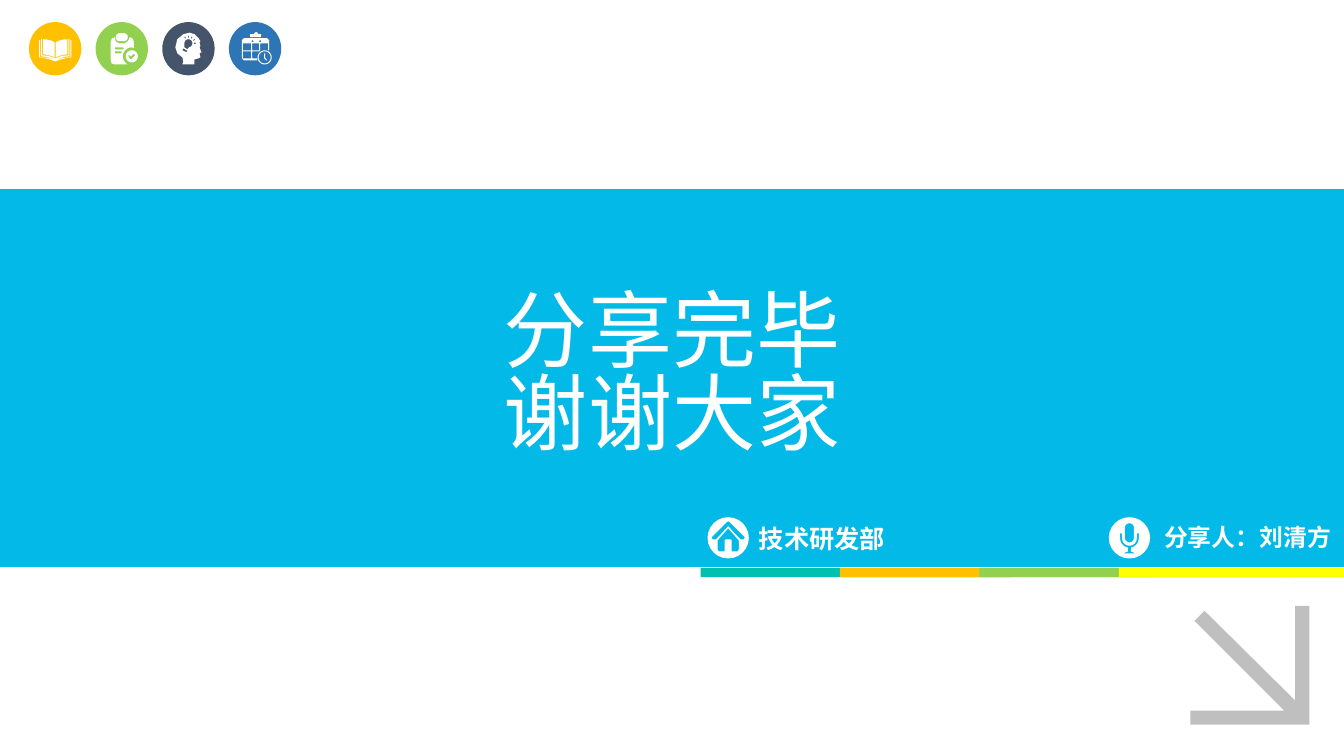
from dataclasses import dataclass
from math import cos, radians, sin

from lxml.etree import SubElement
from pptx import Presentation
from pptx.dml.color import RGBColor
from pptx.enum.shapes import MSO_SHAPE as SHAPE
from pptx.enum.text import MSO_ANCHOR as ANCHOR, MSO_AUTO_SIZE as AUTO, PP_ALIGN as ALIGN
from pptx.oxml.ns import qn
from pptx.util import Pt

COLORS = {
    "white": "FFFFFF", "cyan": "02B9E7", "grey": "BFBFBF", "teal": "01C0B0",
    "amber": "FFC000", "green": "92D050", "yellow": "FFFF00",
    "navy": "44546A", "blue": "2E75B6",
}
CJK = "Noto Sans CJK SC"
WIDTH, HEIGHT = 960, 540
GRID = 0.72  # points per unit of the icon drawings

Points = list[tuple[float, float]]


def arc(cx: float, cy: float, r: float, start: float = 0, end: float = 345) -> Points:
    """Points along an arc in degrees, clockwise from the right; a full ring by default."""
    steps = max(4, round(abs(end - start) / 15))
    angles = [radians(start + (end - start) * i / steps) for i in range(steps + 1)]
    return [(cx + r * cos(a), cy + r * sin(a)) for a in angles]


def box(x: float, y: float, w: float, h: float, r: float = 0) -> Points:
    """Outline of a rectangle with corner radius r."""
    if not r:
        return [(x, y), (x + w, y), (x + w, y + h), (x, y + h)]
    corners = [(x + w - r, y + h - r), (x + r, y + h - r), (x + r, y + r), (x + w - r, y + r)]
    return [p for i, (cx, cy) in enumerate(corners) for p in arc(cx, cy, r, 90 * i, 90 * i + 90)]


def mirrored(half: Points, axis: float) -> Points:
    return [(2 * axis - x, y) for x, y in half]


def ray(angle: float) -> Points:
    """Short stroke of light around the bulb."""
    return arc(26, 21, 5.5, angle - 6, angle + 6) + arc(26, 21, 7.5, angle + 4, angle - 4)


BOOK_HALF = [
    [(14, 17), (18, 17.3), (22, 18.3), (25.5, 20), (25.5, 35), (22, 33.5), (18, 32.4), (14, 32)],
    [(12, 17), (13, 17), (13, 33), (18, 33.3), (22, 34.4), (26, 36), (26, 38), (22, 36),
     (17, 34.4), (12, 34)],
    [(10, 18), (11, 18), (11, 35), (17, 35.3), (22, 36.5), (26, 38), (26, 39), (22, 37.5),
     (16, 35.8), (10, 35)],
]
BOOK = BOOK_HALF + [mirrored(part, 26) for part in BOOK_HALF]
CLIPBOARD = [
    box(20, 11, 12, 8, 4),
    [(19, 15), (20, 19), (23, 21), (29, 21), (32, 19), (34, 15), (37, 16.5), (38, 20), (38, 26)]
    + arc(36, 34, 9, -90, -243) + [(19, 42), (16, 41), (15, 38), (15, 20), (16, 16.5)],
    box(19, 25, 9, 2, 1),
    box(19, 29, 7, 2, 1),
    arc(36, 34, 6),
    [(32, 33), (34, 33), (35, 34), (38, 31.5), (39.5, 32.7), (35.5, 37), (34.5, 37)],
]
HEAD = [
    [(20, 42), (21, 39), (20, 35), (15, 31), (13, 25), (15, 17), (21, 12), (27, 10.5), (32, 12),
     (36, 16), (38, 19), (37, 20), (38, 24), (37, 25), (39, 30), (37, 31), (38, 35), (36, 36),
     (32, 37), (32, 42)],
    arc(26, 21, 4, -190, 80) + [(25, 27), (22, 25)],
    [(21, 26), (25, 28.5), (24, 30), (20, 28)],
    *[ray(angle) for angle in (-120, -90, -60, -30, 0)],
]
CALENDAR = [
    [(21, 12), (25, 12), (25.5, 10.5), (27, 10), (28.5, 10.5), (29, 12), (32, 12), (32, 15),
     (21, 15)],
    [(15, 16), (38, 16), (40, 18), (40, 28), (39, 28), (39, 21), (31, 21), (31, 28), (30, 29),
     (23, 29), (23, 36), (28, 36), (28, 38), (15, 38), (13, 36), (13, 18)],
    box(14, 21, 8, 7), box(14, 29, 8, 7), box(23, 21, 7, 7),
    arc(23.5, 19, 1), arc(31, 19, 1),
    arc(35.5, 35, 7), arc(35.5, 35, 6),
    [(35, 31), (36, 31), (36, 35), (38, 38), (37, 38), (35, 36)],
]
DISC = arc(20.5, 20.5, 20.5)
HOUSE = [
    DISC,
    [(4, 20), (19, 5), (20.5, 4), (22, 5), (37, 20), (36, 22), (32.5, 22), (20.5, 9), (8.5, 22),
     (5, 22)],
    [(20.5, 11), (31, 23), (31, 32), (30, 34), (24, 34), (24, 23), (23, 22), (18, 22), (17, 23),
     (17, 34), (11, 34), (10, 32), (10, 23)],
]
MICROPHONE = [
    DISC,
    box(16, 6, 9, 19, 4.5),
    [(11, 16), (13, 16)] + arc(20.5, 21, 7.3, 180, 0) + [(28, 16), (30, 16)]
    + arc(20.5, 21, 9.3, 0, 80) + [(22, 34), (27, 36), (14, 36), (19, 34)]
    + arc(20.5, 21, 9.3, 100, 180),
]
ARROW = [[(104, 0), (118, 0), (118, 118), (0, 118), (0, 104), (93, 104), (4, 15), (14, 5),
          (104, 94)]]


@dataclass
class Badge:
    color: str
    icon: list[Points]


@dataclass
class Label:
    icon: list[Points]
    icon_left: float
    left: float
    width: float
    text: str
    size: float
    font: str


BADGES = [Badge("amber", BOOK), Badge("green", CLIPBOARD), Badge("navy", HEAD),
          Badge("blue", CALENDAR)]
LABELS = [Label(HOUSE, 505.4, 535, 251, "技术研发部", 18, CJK),
          Label(MICROPHONE, 792, 824.4, 149.8, "分享人：刘清方", 17, "Arial")]
STRIPES = ["teal", "amber", "green", "yellow"]


def paint(sp, color: str):
    sp.shadow.inherit = False
    sp.fill.solid()
    sp.fill.fore_color.rgb = RGBColor.from_string(COLORS[color])
    sp.line.fill.background()
    return sp


def add_preset(shapes, kind, left: float, top: float, width: float, height: float, color: str):
    return paint(shapes.add_shape(kind, Pt(left), Pt(top), Pt(width), Pt(height)), color)


def add_outline(shapes, contours: list[Points], left: float, top: float, color: str):
    """Draw contours as one freeform; overlapping contours cut holes."""
    paths = [[(Pt(left + x * GRID), Pt(top + y * GRID)) for x, y in c] for c in contours]
    fb = shapes.build_freeform(*paths[0][0])
    for i, path in enumerate(paths):
        if i:
            fb.move_to(*path[0])
        fb.add_line_segments(path[1:], close=True)
    return paint(fb.convert_to_shape(), color)


def write(tf, text: str, *, size: float, font: str = CJK, color: str = "white",
          bold: bool = False, align=ALIGN.LEFT, anchor=ANCHOR.TOP, spacing: float = 1.0) -> None:
    tf.word_wrap = True
    tf.auto_size = AUTO.NONE
    tf.vertical_anchor = anchor
    tf.text = text
    for p in tf.paragraphs:
        p.alignment = align
        p.line_spacing = spacing
        for r in p.runs:
            r.font.size, r.font.bold, r.font.name = Pt(size), bold, font
            r.font.color.rgb = RGBColor.from_string(COLORS[color])
            SubElement(r.font._element, qn("a:ea"), typeface=font)


def main() -> None:
    prs = Presentation()
    prs.slide_width, prs.slide_height = Pt(WIDTH), Pt(HEIGHT)
    slide = prs.slides.add_slide(prs.slide_layouts[5])
    shapes = slide.shapes

    band = add_preset(shapes, SHAPE.RECTANGLE, 0, 135, WIDTH, 270, "cyan")
    title = shapes.title
    title.left, title.top, title.width, title.height = Pt(0), Pt(219), Pt(WIDTH), Pt(102)
    write(title.text_frame, "分享完毕\n谢谢大家", size=60, align=ALIGN.CENTER,
          anchor=ANCHOR.MIDDLE, spacing=0.82)
    band.element.addnext(title.element)
    add_outline(shapes, ARROW, 850.3, 432.7, "grey")

    for i, color in enumerate(STRIPES):
        left = 500.4 + 99.6 * i
        add_preset(shapes, SHAPE.RECTANGLE, left, 405.8, min(223.2, WIDTH - left), 6.5, color)

    for label in LABELS:
        add_outline(shapes, label.icon, label.icon_left, 369.4, "white")
        tb = shapes.add_textbox(Pt(label.left), Pt(370), Pt(label.width), Pt(28.8))
        write(tb.text_frame, label.text, size=label.size, font=label.font, bold=True)

    for i, badge in enumerate(BADGES):
        left, top = 20.7 + 47.6 * i, 15.8
        group = shapes.add_group_shape()
        add_preset(group.shapes, SHAPE.OVAL, left, top, 37.4, 38, badge.color)
        add_outline(group.shapes, badge.icon, left, top, "white")

    prs.save("out.pptx")


if __name__ == "__main__":
    main()
